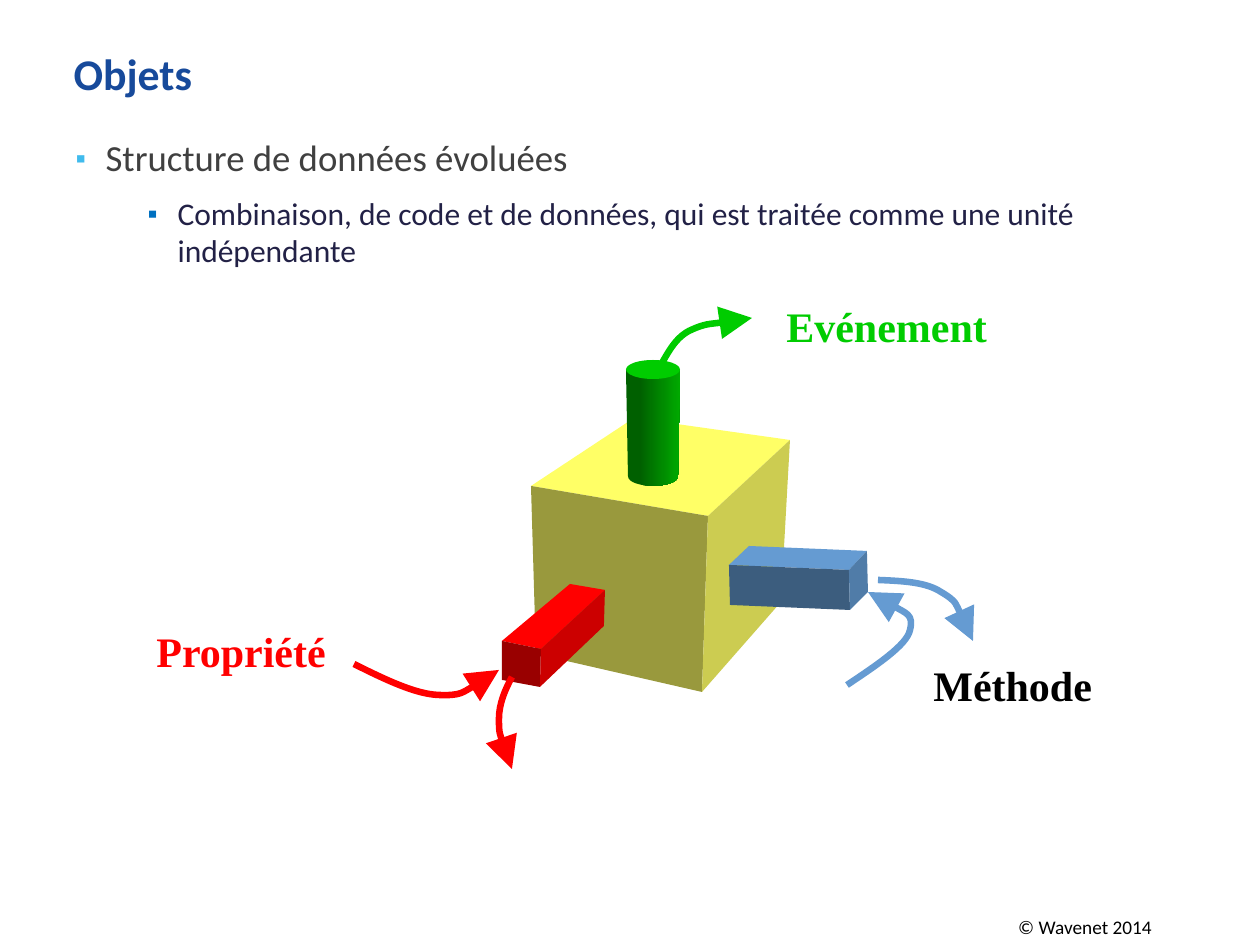
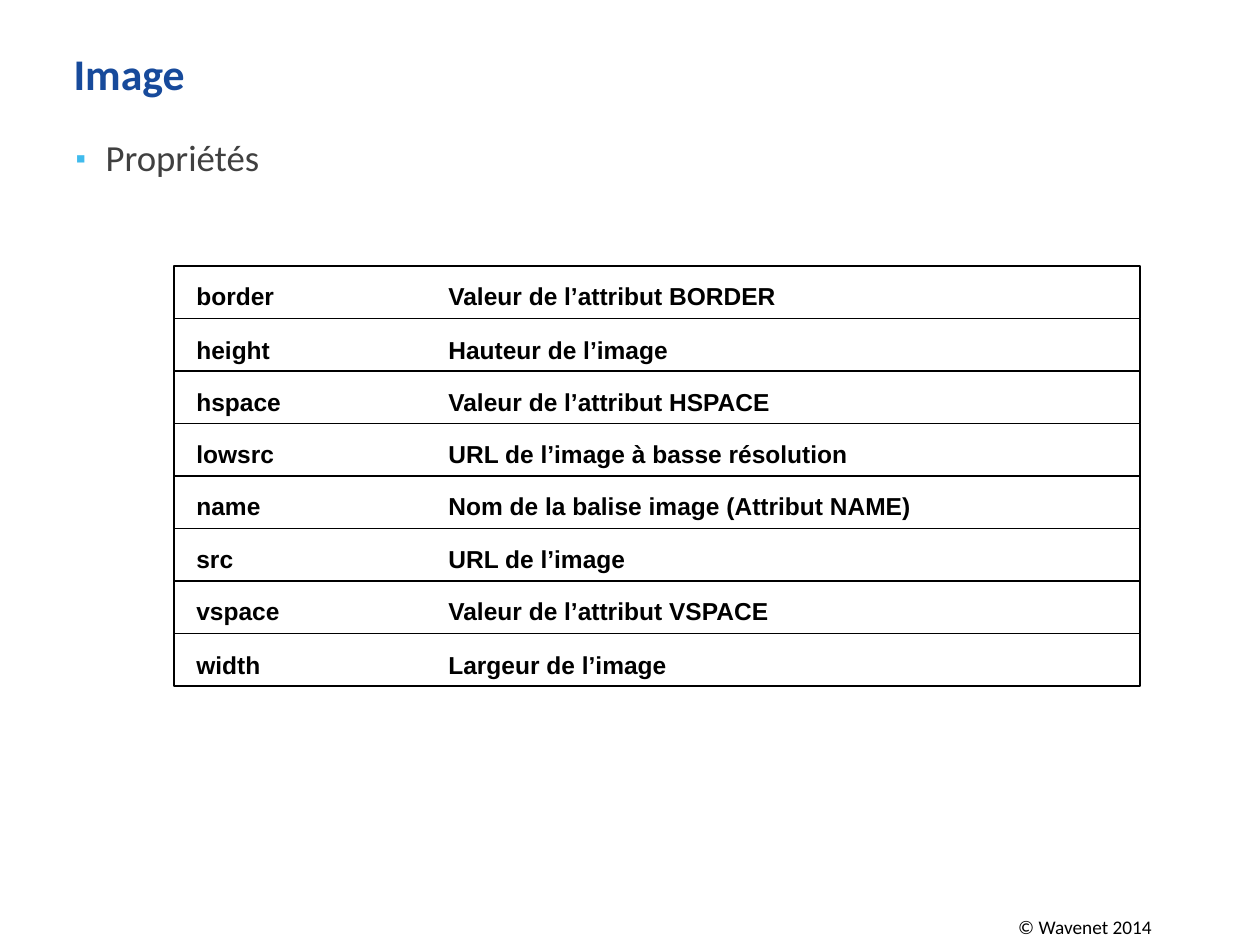
from lxml.etree import SubElement
from pptx import Presentation
from pptx.dml.color import RGBColor as RGB
from pptx.enum.shapes import MSO_SHAPE as Kind
from pptx.enum.text import MSO_ANCHOR as Anchor, MSO_AUTO_SIZE as Fit, PP_ALIGN as Align
from pptx.oxml.ns import qn
from pptx.util import Emu, Inches, Pt

UNIT = 914400 / 126

BLACK = RGB(0, 0, 0)
NAVY = RGB(0x17, 0x4A, 0x9B)
GREY = RGB(0x40, 0x40, 0x40)
INK = RGB(0x22, 0x21, 0x46)
SKY = RGB(0x40, 0xBB, 0xED)
AZURE = RGB(0x00, 0x70, 0xC0)
RED = RGB(0xFF, 0, 0)
BLUE = RGB(0x65, 0x9B, 0xD2)
GREEN = RGB(0, 0xCC, 0)
DARK, MID = RGB(0, 0x60, 0), RGB(0, 0xAA, 0)
YELLOW = RGB(0xFF, 0xFF, 0x66)

# Font formats
TITLE = dict(name="Calibri", size=Pt(25), bold=True, color=NAVY)
LABEL = dict(name="Times New Roman", size=Pt(24), bold=True)
CELL = dict(name="Arial", size=Pt(14), bold=True, color=BLACK)
FOOT = dict(name="Calibri", size=Pt(11), color=BLACK)

# Per list level: font, indent, hang, bullet colour, bullet size, space before, after
LEVELS = [
    (dict(name="Calibri", size=Pt(21), color=GREY), 30, 30, SKY, 80, 12.6, 4.2),
    (dict(name="Calibri", size=Pt(18), color=INK), 102, 30, AZURE, 90, 4.5, 3.6),
]

OBJECTS = ("Objets", [
    (0, "Structure de données évoluées"),
    (1, "Combinaison, de code et de données, qui est traitée comme une unité indépendante"),
])
IMAGE = ("Image", [(0, "Propriétés")])
COPY = "© Wavenet 2014"

# Text top, property, meaning
ROWS = [
    (275, "border", "Valeur de l’attribut BORDER"),
    (329, "height", "Hauteur de l’image"),
    (381, "hspace", "Valeur de l’attribut HSPACE"),
    (433, "lowsrc", "URL de l’image à basse résolution"),
    (485, "name", "Nom de la balise image (Attribut NAME)"),
    (538, "src", "URL de l’image"),
    (590, "vspace", "Valeur de l’attribut VSPACE"),
    (644, "width", "Largeur de l’image"),
]
COLS = [(184, 242), (436, 746)]

# Boxes: colour, then corners:
# front left, front right, back right, back left, low left, low right, low back
BOXES = [
    (YELLOW, [(531, 486), (708, 516), (790, 440), (634, 418), (536, 654), (702, 692), (781, 602)]),
    (RED, [(502, 641), (541, 649), (605, 590), (570, 584), (502, 680), (540, 687), (604, 626)]),
    (BLUE, [(729, 565), (849, 570), (867, 551), (749, 546), (730, 605), (850, 610), (868, 592)]),
]
FACES = [("norm", (0, 1, 2, 3)), ("darken", (0, 1, 5, 4)), ("darkenLess", (1, 2, 6, 5))]

# Arrows: start point, then three points for each Bezier piece
ARROWS = [
    (RED, [(354, 664), (384, 679), (415, 694), (438, 695), (462, 696), (481, 683), (499, 670)]),
    (RED, [(512, 677), (505, 690), (499, 704), (499, 719), (499, 735), (505, 752), (512, 769)]),
    (BLUE, [(878, 580), (902, 581), (926, 582), (941, 592), (958, 602), (965, 622), (973, 641)]),
    (BLUE, [(847, 685), (877, 665), (907, 645), (910, 630), (914, 614), (891, 604), (868, 592)]),
    (GREEN, [(658, 370), (667, 355), (674, 339), (689, 331), (706, 323), (742, 320), (752, 318)]),
]
LABELS = [
    ("Propriété", RED, (144, 619, 195, 63)),
    ("Méthode", BLACK, (921, 653, 184, 63)),
    ("Evénement", GREEN, (774, 294, 226, 63)),
]


def px(n):
    return Emu(round(n * UNIT))


def style(font, color, **form):
    for key, val in form.items():
        setattr(font, key, val)
    font.color.rgb = color


def place(shape, *box):
    for key, val in zip(("left", "top", "width", "height"), box):
        setattr(shape, key, px(val))


def write(slide, text, box, form, wrap, fit=Fit.SHAPE_TO_FIT_TEXT):
    frame = slide.shapes.add_textbox(*map(px, box)).text_frame
    frame.word_wrap = wrap
    frame.auto_size = fit
    para = frame.paragraphs[0]
    para.text = text
    style(para.font, **form)
    return frame


def bullet(para, level, first):
    form, left, hang, color, size, above, below = LEVELS[level]
    para.level = level
    props = para._p.get_or_add_pPr()
    props.set("marL", str(px(left)))
    props.set("indent", str(-px(hang)))
    SubElement(SubElement(props, qn("a:buClr")), qn("a:srgbClr")).set("val", str(color))
    SubElement(props, qn("a:buSzPct")).set("val", str(size * 1000))
    SubElement(props, qn("a:buChar")).set("char", "▪")
    para.line_spacing = 0.98
    para.space_before = Pt(0 if first else above)
    para.space_after = Pt(below)
    style(para.font, **form)


def page(deck, head, items):
    """Add a slide with its title and list."""
    slide = deck.slides.add_slide(deck.slide_layouts[1])
    title, body = slide.shapes.title, slide.placeholders[1]
    place(title, 61, 40, 1135, 81)
    place(body, 63, 131, 1134, 684)
    for shape in (title, body):
        shape.text_frame.auto_size = Fit.NONE
        shape.text_frame.vertical_anchor = Anchor.TOP
    title.text_frame.text = head
    para = title.text_frame.paragraphs[0]
    para.alignment = Align.LEFT
    style(para.font, **TITLE)
    body.text_frame.text = "\n".join(text for _, text in items)
    for i, (level, _) in enumerate(items):
        bullet(body.text_frame.paragraphs[i], level, i == 0)
    return slide


def sign(slide):
    foot = write(slide, COPY, (938, 914, 294, 26), FOOT, True, Fit.NONE)
    foot.vertical_anchor = Anchor.MIDDLE
    foot.margin_top = foot.margin_bottom = Inches(0.04)
    foot.paragraphs[0].alignment = Align.CENTER


def trace(slide, parts):
    """Draw one outline from parts: fill mode, closed or not, [(command, points)]."""
    spots = [p for _, _, steps in parts for _, points in steps for p in points]
    xs, ys = zip(*spots)
    left, top, right, low = min(xs), min(ys), max(xs), max(ys)
    pen = slide.shapes.build_freeform(px(left), px(top))
    pen.add_line_segments([(px(right), px(low))], close=False)
    shape = pen.convert_to_shape()
    shape.shadow.inherit = False
    outs = shape._element.find(".//" + qn("a:pathLst"))
    for old in list(outs):
        outs.remove(old)
    for mode, closed, steps in parts:
        out = SubElement(outs, qn("a:path"))
        for key, val in dict(w=right - left, h=low - top, fill=mode).items():
            out.set(key, str(val))
        for name, points in steps:
            step = SubElement(out, qn(f"a:{name}"))
            for x, y in points:
                dot = SubElement(step, qn("a:pt"))
                dot.set("x", str(x - left))
                dot.set("y", str(y - top))
        if closed:
            SubElement(out, qn("a:close"))
    return shape


def paint(shape, color):
    shape.fill.solid()
    shape.fill.fore_color.rgb = color
    shape.line.fill.background()


def block(slide, color, spots):
    parts = []
    for mode, face in FACES:
        start, *rest = [spots[i] for i in face]
        steps = [("moveTo", [start])] + [("lnTo", [p]) for p in rest]
        parts.append((mode, True, steps))
    paint(trace(slide, parts), color)


def arrow(slide, color, nodes):
    steps = [("moveTo", nodes[:1])]
    steps += [("cubicBezTo", nodes[i:i + 3]) for i in range(1, len(nodes), 3)]
    shape = trace(slide, [("none", False, steps)])
    shape.fill.background()
    shape.line.color.rgb = color
    shape.line.width = Pt(3.75)
    tail = SubElement(shape.line._get_or_add_ln(), qn("a:tailEnd"))
    for key, val in dict(type="triangle", w="lg", len="lg").items():
        tail.set(key, val)


def tube(slide):
    """Draw the green cylinder: shaded side, then lid."""
    steps = [("moveTo", [(626, 370)]), ("lnTo", [(680, 370)]), ("lnTo", [(678, 476)]),
             ("cubicBezTo", [(678, 489), (628, 489), (628, 476)])]
    side = trace(slide, [("norm", True, steps)])
    side.line.fill.background()
    side.fill.gradient()
    side.fill.gradient_angle = 0
    for stop, color, pos in zip(side.fill.gradient_stops, (DARK, MID), (0.25, 1)):
        stop.color.rgb = color
        stop.position = pos
    lid = slide.shapes.add_shape(Kind.OVAL, *map(px, (626, 360, 54, 19)))
    lid.shadow.inherit = False
    paint(lid, GREEN)


def grid(slide):
    for top, *texts in ROWS:
        for text, (left, width) in zip(texts, COLS):
            write(slide, text, (left, top, width, 42), CELL, True)
    for r in range(len(ROWS)):
        box = (174, 266 + 52.5 * r, 966, 52.5)
        frame = slide.shapes.add_shape(Kind.RECTANGLE, *map(px, box))
        frame.shadow.inherit = False
        frame.fill.background()
        frame.line.color.rgb = BLACK
        frame.line.width = Pt(0.75)


def main():
    deck = Presentation()
    deck.slide_width, deck.slide_height = px(1260), px(945)

    slide = page(deck, *OBJECTS)
    for color, spots in BOXES:
        block(slide, color, spots)
    tube(slide)
    for text, color, box in LABELS:
        write(slide, text, box, dict(LABEL, color=color), False)
    for color, nodes in ARROWS:
        arrow(slide, color, nodes)
    sign(slide)

    slide = page(deck, *IMAGE)
    grid(slide)
    sign(slide)
    deck.save("out.pptx")


if __name__ == "__main__":
    main()
